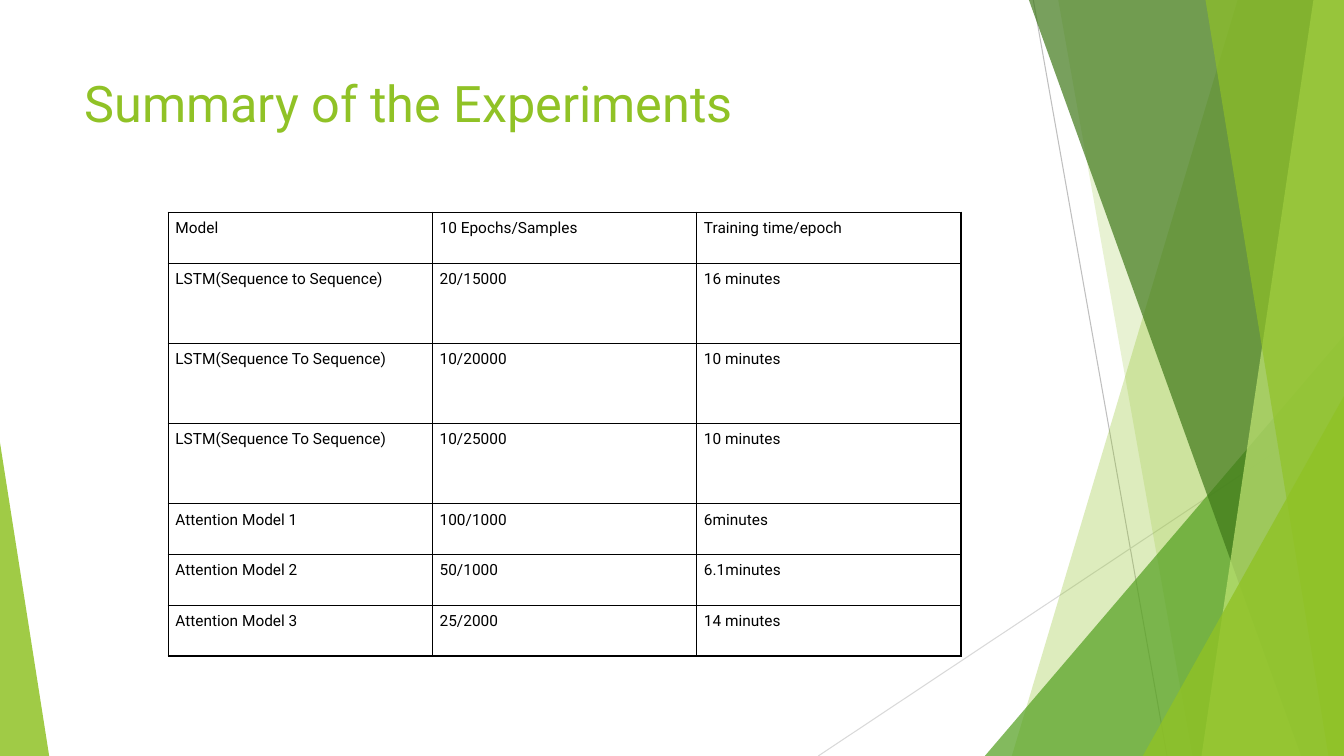
from dataclasses import dataclass

from lxml import etree
from pptx import Presentation
from pptx.dml.color import RGBColor
from pptx.enum.shapes import MSO_CONNECTOR, MSO_SHAPE
from pptx.enum.text import MSO_ANCHOR
from pptx.oxml.ns import qn
from pptx.shapes.autoshape import Shape
from pptx.slide import Slide
from pptx.table import _Cell
from pptx.util import Cm, Pt

STRAIGHT = MSO_CONNECTOR.STRAIGHT
TRIANGLE = MSO_SHAPE.ISOSCELES_TRIANGLE
ANCHOR_TOP = MSO_ANCHOR.TOP

LIME = RGBColor(0x90, 0xC2, 0x26)
GREEN = RGBColor(0x54, 0xA0, 0x21)
DARK_GREEN = RGBColor(0x3F, 0x78, 0x19)
PALE_LIME = RGBColor(0xC0, 0xE4, 0x74)
GREY = RGBColor(0xBF, 0xBF, 0xBF)
LIGHT_GREY = RGBColor(0xD9, 0xD9, 0xD9)
BLACK = RGBColor(0, 0, 0)

FONT = "Roboto"
SLIDE_WIDTH, SLIDE_HEIGHT = 33.87, 19.05  # all lengths in cm


@dataclass
class Ray:
    start: tuple[float, float]
    end: tuple[float, float]
    color: RGBColor


@dataclass
class Band:
    """Area between a slanted edge and the right side of the slide."""
    top_x: float
    bottom_x: float
    color: RGBColor
    opacity: int


@dataclass
class Corner:
    """Right triangle standing on the bottom of the slide."""
    left: float
    top: float
    width: float
    apex: float
    color: RGBColor
    opacity: int


RAYS = [
    Ray((26.04, 0), (29.41, SLIDE_HEIGHT), GREY),
    Ray((SLIDE_WIDTH, 10.24), (20.62, SLIDE_HEIGHT), LIGHT_GREY),
]
FACETS = [
    Band(31.19, 25.5, LIME, 30),
    Band(26.67, 30.05, LIME, 20),
    Corner(24.82, 8.46, 9.05, 1, GREEN, 72),
    Band(25.93, 32.79, DARK_GREEN, 70),
    Band(33.1, 30.28, PALE_LIME, 70),
    Band(30.38, 33.48, LIME, 65),
    Corner(28.8, 9.98, 5.07, 1, LIME, 80),
    Corner(0, 11.15, 1.24, 0, LIME, 85),
]

EXPERIMENTS = [
    ("Model", "10 Epochs/Samples", "Training time/epoch"),
    ("LSTM(Sequence to Sequence)", "20/15000", "16 minutes"),
    ("LSTM(Sequence To Sequence)", "10/20000", "10 minutes"),
    ("LSTM(Sequence To Sequence)", "10/25000", "10 minutes"),
    ("Attention Model 1", "100/1000", "6minutes"),
    ("Attention Model 2", "50/1000", "6.1minutes"),
    ("Attention Model 3", "25/2000", "14 minutes"),
]
COLUMN_WIDTH = 6.66
ROW_HEIGHT, LSTM_ROW_HEIGHT = 1.28, 2.02
CELL_MARGIN = Cm(0.18)


def draw_ray(slide: Slide, ray: Ray) -> None:
    line = slide.shapes.add_connector(
        STRAIGHT, *(Cm(value) for value in ray.start + ray.end))
    line.line.color.rgb = ray.color
    line.line.width = Pt(0.75)
    etree.SubElement(line._element.spPr, qn("a:effectLst"))


def paint(facet: Shape, color: RGBColor, opacity: int) -> None:
    facet.shadow.inherit = False
    facet.line.fill.background()
    facet.fill.solid()
    facet.fill.fore_color.rgb = color
    srgb = facet._element.spPr.find(qn("a:solidFill")).find(qn("a:srgbClr"))
    etree.SubElement(srgb, qn("a:alpha"), val=str(opacity * 1000))


def draw_band(slide: Slide, band: Band) -> None:
    builder = slide.shapes.build_freeform(Cm(band.top_x), 0)
    builder.add_line_segments([
        (Cm(SLIDE_WIDTH), 0),
        (Cm(SLIDE_WIDTH), Cm(SLIDE_HEIGHT)),
        (Cm(band.bottom_x), Cm(SLIDE_HEIGHT)),
    ], close=True)
    paint(builder.convert_to_shape(), band.color, band.opacity)


def draw_corner(slide: Slide, corner: Corner) -> None:
    triangle = slide.shapes.add_shape(
        TRIANGLE, Cm(corner.left), Cm(corner.top),
        Cm(corner.width), Cm(SLIDE_HEIGHT - corner.top))
    triangle.adjustments[0] = corner.apex
    paint(triangle, corner.color, corner.opacity)


def draw_title(slide: Slide, title: str) -> None:
    frame = slide.shapes.add_textbox(
        Cm(1.88), Cm(1.7), Cm(23.88), Cm(3.66)).text_frame
    frame.word_wrap = True
    frame.vertical_anchor = ANCHOR_TOP
    frame.text = title
    font = frame.paragraphs[0].runs[0].font
    font.name, font.size = FONT, Pt(36)
    font.color.rgb = LIME


def add_borders(cell: _Cell) -> None:
    properties = cell._tc.get_or_add_tcPr()
    for position, side in enumerate(("lnL", "lnR", "lnT", "lnB")):
        border = etree.Element(qn(f"a:{side}"), w=str(Pt(1)))
        fill = etree.SubElement(border, qn("a:solidFill"))
        etree.SubElement(fill, qn("a:srgbClr"), val=str(BLACK))
        properties.insert(position, border)


def fill_cell(cell: _Cell, text: str) -> None:
    cell.fill.background()
    cell.margin_left = cell.margin_right = CELL_MARGIN
    cell.margin_top = cell.margin_bottom = CELL_MARGIN
    cell.vertical_anchor = ANCHOR_TOP
    cell.text = text
    font = cell.text_frame.paragraphs[0].runs[0].font
    font.name, font.size, font.bold = FONT, Pt(11), False
    font.color.rgb = BLACK
    add_borders(cell)


def draw_experiments(slide: Slide) -> None:
    heights = [LSTM_ROW_HEIGHT if row[0].startswith("LSTM") else ROW_HEIGHT
               for row in EXPERIMENTS]
    column_count = len(EXPERIMENTS[0])
    table = slide.shapes.add_table(
        len(EXPERIMENTS), column_count, Cm(4.24), Cm(5.35),
        Cm(COLUMN_WIDTH * column_count), Cm(sum(heights))).table
    table.first_row = table.horz_banding = False
    for column in table.columns:
        column.width = Cm(COLUMN_WIDTH)
    for row, height, texts in zip(table.rows, heights, EXPERIMENTS):
        row.height = Cm(height)
        for cell, text in zip(row.cells, texts):
            fill_cell(cell, text)


def main() -> None:
    presentation = Presentation()
    presentation.slide_width = Cm(SLIDE_WIDTH)
    presentation.slide_height = Cm(SLIDE_HEIGHT)
    slide = presentation.slides.add_slide(presentation.slide_layouts[6])
    for ray in RAYS:
        draw_ray(slide, ray)
    for facet in FACETS:
        if isinstance(facet, Band):
            draw_band(slide, facet)
        else:
            draw_corner(slide, facet)
    draw_title(slide, "Summary of the Experiments")
    draw_experiments(slide)
    presentation.save("out.pptx")


if __name__ == "__main__":
    main()
